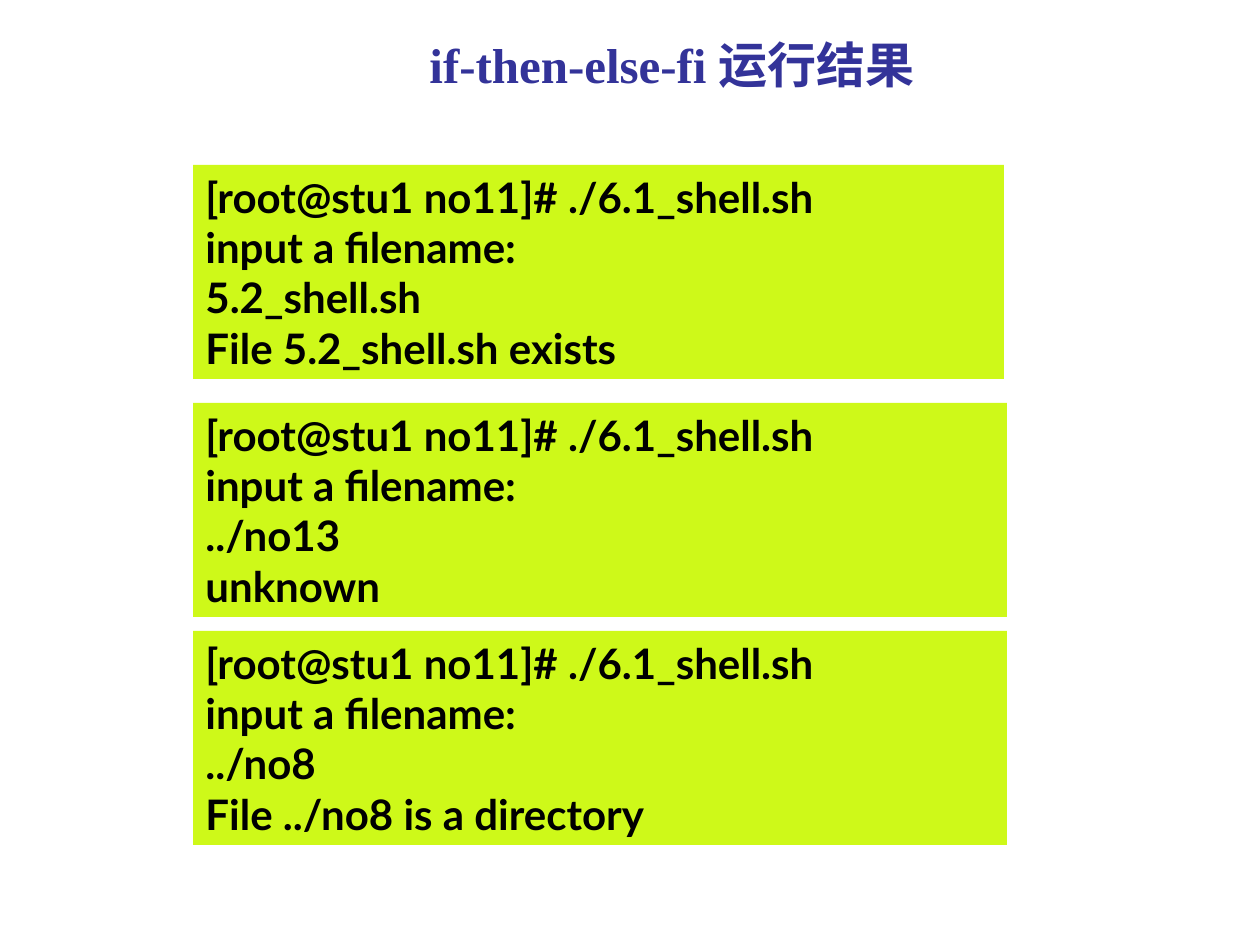
"""Build the slide showing the output of an if-then-else-fi shell script."""
from dataclasses import dataclass

from pptx import Presentation
from pptx.dml.color import RGBColor
from pptx.enum.shapes import MSO_SHAPE
from pptx.enum.text import MSO_ANCHOR, MSO_AUTO_SIZE, PP_ALIGN
from pptx.slide import Slide
from pptx.text.text import TextFrame
from pptx.util import Emu, Pt

RECTANGLE = MSO_SHAPE.RECTANGLE
TOP, MIDDLE = MSO_ANCHOR.TOP, MSO_ANCHOR.MIDDLE
GROW, FIXED = MSO_AUTO_SIZE.SHAPE_TO_FIT_TEXT, MSO_AUTO_SIZE.NONE
LEFT, CENTER = PP_ALIGN.LEFT, PP_ALIGN.CENTER

PX_PER_INCH = 126
SESSION_LEFT, SESSION_HEIGHT = 193, 214
PROMPT = "[root@stu1 no11]# ./6.1_shell.sh\ninput a filename:"


@dataclass(frozen=True)
class Session:
    top: int
    width: int
    filename: str
    result: str


SESSIONS = [
    Session(165, 811, "5.2_shell.sh", "File 5.2_shell.sh exists"),
    Session(403, 814, "../no13", "unknown"),
    Session(631, 814, "../no8", "File ../no8 is a directory"),
]


def px(length: int) -> Emu:
    return Emu(round(length * 914400 / PX_PER_INCH))


def color(code: str) -> RGBColor:
    return RGBColor.from_string(code)


def write(frame: TextFrame, text: str, font_name: str, size: int,
          code: str, alignment: PP_ALIGN) -> None:
    frame.text = text
    for paragraph in frame.paragraphs:
        paragraph.alignment = alignment
        for run in paragraph.runs:
            run.font.name = font_name
            run.font.size = Pt(size)
            run.font.bold = True
            run.font.color.rgb = color(code)


def draw_title(slide: Slide, text: str) -> None:
    title = slide.shapes.title
    title.left, title.top, title.width, title.height = map(px, (84, 26, 1176, 76))
    frame = title.text_frame
    frame.vertical_anchor = MIDDLE
    frame.auto_size = FIXED
    write(frame, text, "Times New Roman", 28, "333399", CENTER)


def draw_session(slide: Slide, session: Session) -> None:
    panel = slide.shapes.add_shape(
        RECTANGLE, px(SESSION_LEFT), px(session.top),
        px(session.width), px(SESSION_HEIGHT))
    panel.shadow.inherit = False
    panel.fill.solid()
    panel.fill.fore_color.rgb = color("CEF919")
    panel.line.fill.background()
    frame = panel.text_frame
    frame.word_wrap = True
    frame.vertical_anchor = TOP
    frame.auto_size = GROW
    transcript = "\n".join((PROMPT, session.filename, session.result))
    write(frame, transcript, "Lato", 24, "000000", LEFT)


def main() -> None:
    presentation = Presentation()
    presentation.slide_width, presentation.slide_height = px(1260), px(945)
    slide = presentation.slides.add_slide(presentation.slide_layouts[5])
    draw_title(slide, "if-then-else-fi 运行结果")
    for session in SESSIONS:
        draw_session(slide, session)
    presentation.save("out.pptx")


if __name__ == "__main__":
    main()
